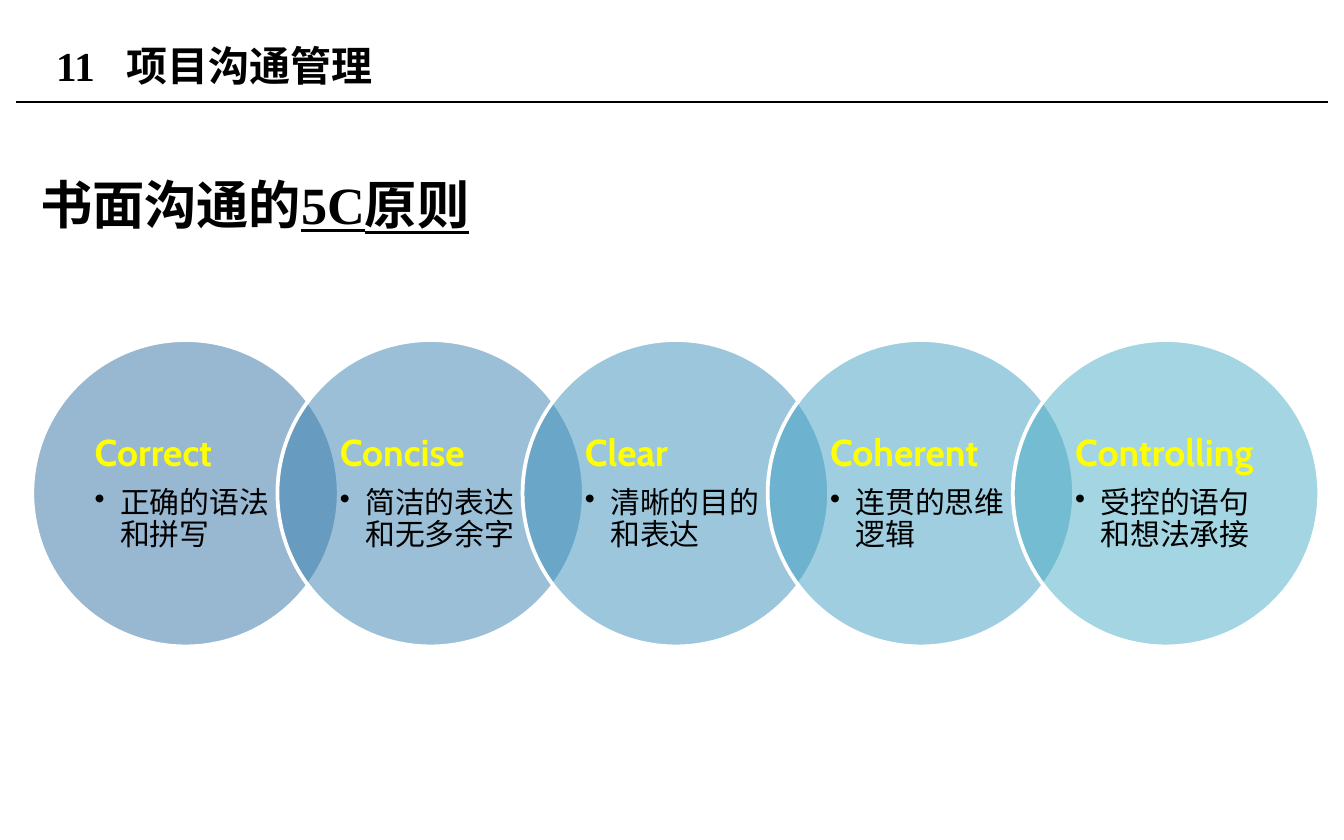
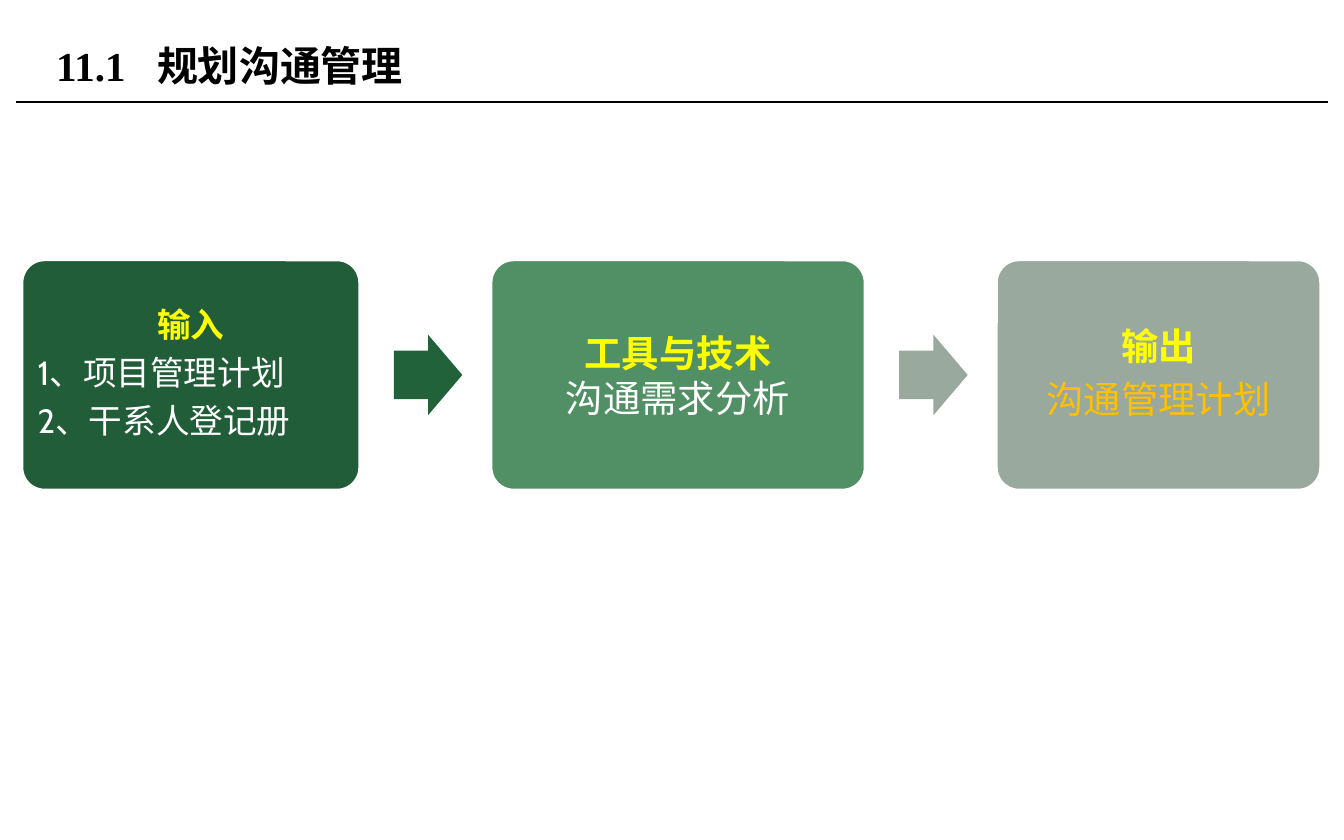
from lxml import etree
from pptx import Presentation, util as u
from pptx.dml.color import RGBColor
from pptx.enum import shapes, text
from pptx.oxml.ns import qn

# Content
CHAPTER = {"number": "11", "name": "项目沟通管理", "tab": 0.52}
SECTION = {"number": "11.1", "name": "规划沟通管理", "tab": 0.75}
HEADING = [("书面沟通的", False), ("5C原则", True)]
PRINCIPLES = [
    ("Correct", "正确的语法和拼写", "3371A4"),
    ("Concise", "简洁的表达和无多余字", "3780AF"),
    ("Clear", "清晰的目的和表达", "3A8FBA"),
    ("Coherent", "连贯的思维逻辑", "409FC3"),
    ("Controlling", "受控的语句和想法承接", "4BACC6"),
]
STAGES = [
    {"title": "输入", "items": ["1、项目管理计划", "2、干系人登记册"], "width": 2.52, "size": 18,
     "fill": "215D38", "ink": "white", "align": "left", "tight": True, "inset": 0.07},
    {"title": "工具与技术", "items": ["沟通需求分析"], "width": 2.79, "size": 20,
     "fill": "519065", "ink": "white", "align": "center", "tight": False, "inset": 0.08},
    {"title": "输出", "items": ["沟通管理计划"], "width": 2.42, "size": 20,
     "fill": "9AA99E", "ink": "gold", "align": "center", "tight": True, "inset": 0.08},
]
ARROW_FILLS = ["22623B", "99A99D"]

# Shared style
COLORS = {"black": "000000", "white": "FFFFFF", "yellow": "FFFF00", "gold": "FFC000"}
SERIF, SANS = "Times New Roman", "Cabin"
WIDTH, HEIGHT = 10, 6.25
ALIGN = {"left": text.PP_ALIGN.LEFT, "center": text.PP_ALIGN.CENTER}

# Circle row: each circle starts 0.8 of a diameter after the last
DIAMETER, CIRCLE_LEFT, CIRCLE_TOP = 2.28, 0.24, 2.53
CIRCLE_STEP = 0.8 * DIAMETER

# Process row: boxes with equal gaps, one arrow in each gap
BOX_LEFT, BOX_TOP, BOX_HEIGHT, BOX_GAP = 0.16, 1.93, 1.72, 0.97
ARROW_OFFSET, ARROW_WIDTH, ARROW_HEIGHT = 0.25, 0.51, 0.6


def rgb(color):
    return RGBColor.from_string(COLORS.get(color, color))


def add_span(para, words, size, font, color, bold=False, underline=False):
    span = para.add_run()
    span.text = words
    span.font.size = u.Pt(size)
    span.font.name = font
    span.font.bold = bold
    span.font.underline = underline
    span.font.color.rgb = rgb(color)


def next_para(frame, align="left", spacing=1.0, after=0):
    first = frame.paragraphs[0]
    para = frame.add_paragraph() if first.runs else first
    para.alignment = ALIGN[align]
    para.line_spacing = spacing
    para.space_after = u.Pt(after)
    return para


def add_text_box(page, left, top, width, height, anchor):
    box = page.shapes.add_textbox(*map(u.Inches, (left, top, width, height)))
    box.text_frame.word_wrap = True
    box.text_frame.vertical_anchor = anchor
    return box.text_frame


def add_filled(page, kind, left, top, width, height, fill, outline=True):
    shape = page.shapes.add_shape(kind, *map(u.Inches, (left, top, width, height)))
    shape.shadow.inherit = False
    shape.fill.solid()
    shape.fill.fore_color.rgb = rgb(fill)
    if outline:
        shape.line.color.rgb = rgb("white")
        shape.line.width = u.Pt(2)
    else:
        shape.line.fill.background()
    return shape


def set_insets(frame, side, end):
    frame.word_wrap = True
    frame.vertical_anchor = text.MSO_ANCHOR.MIDDLE
    frame.margin_left = frame.margin_right = u.Inches(side)
    frame.margin_top = frame.margin_bottom = u.Inches(end)


def set_alpha(shape, percent):
    color = shape.fill._xPr.find(qn("a:solidFill"))[0]
    etree.SubElement(color, qn("a:alpha"), val=str(percent * 1000))


def set_bullet(para, indent):
    para.level = 1
    props = para._p.get_or_add_pPr()
    props.set("marL", str(u.Inches(indent)))
    props.set("indent", str(-u.Inches(indent)))
    etree.SubElement(props, qn("a:buChar"), char="•")


def add_page(deck, title):
    page = deck.slides.add_slide(deck.slide_layouts[6])

    # Rule under the title
    rule = page.shapes.add_connector(shapes.MSO_CONNECTOR.STRAIGHT, u.Inches(0.12),
                                     u.Inches(0.76), u.Inches(WIDTH - 0.12), u.Inches(0.76))
    rule.line.color.rgb = rgb("black")
    rule.line.width = u.Pt(0.75)
    etree.SubElement(rule._element.spPr, qn("a:effectLst"))

    # Number and name, set apart by a tab stop
    para = next_para(add_text_box(page, 0.32, 0.13, 6.38, 0.71, text.MSO_ANCHOR.MIDDLE))
    stops = etree.SubElement(para._p.get_or_add_pPr(), qn("a:tabLst"))
    etree.SubElement(stops, qn("a:tab"), pos=str(u.Inches(title["tab"])), algn="l")
    add_span(para, title["number"] + "\t" + title["name"], 22, SERIF, "black", bold=True)
    return page


def build_principles(deck):
    page = add_page(deck, CHAPTER)
    heading = next_para(add_text_box(page, 0.2, 1, 9.56, 3.9, text.MSO_ANCHOR.TOP), spacing=1.5)
    for words, underline in HEADING:
        add_span(heading, words, 28, SERIF, "black", bold=True, underline=underline)

    # Overlapping circles
    for index, (name, meaning, fill) in enumerate(PRINCIPLES):
        circle = add_filled(page, shapes.MSO_SHAPE.OVAL, CIRCLE_LEFT + index * CIRCLE_STEP,
                            CIRCLE_TOP, DIAMETER, DIAMETER, fill)
        set_alpha(circle, 50)
        frame = circle.text_frame
        set_insets(frame, 0.13, 0.03)
        add_span(next_para(frame, spacing=0.9, after=7), name, 20, SANS, "yellow", bold=True)
        para = next_para(frame, spacing=0.9, after=2.4)
        set_bullet(para, 0.19)
        add_span(para, meaning, 16, SANS, "black")


def build_process(deck):
    page = add_page(deck, SECTION)
    left = BOX_LEFT
    for index, stage in enumerate(STAGES):
        # Stage box
        box = add_filled(page, shapes.MSO_SHAPE.ROUNDED_RECTANGLE, left, BOX_TOP,
                         stage["width"], BOX_HEIGHT, stage["fill"])
        box.adjustments[0] = 0.1
        frame = box.text_frame
        set_insets(frame, stage["inset"], stage["inset"])
        size = stage["size"]
        spacing, after = (0.9, 0.35 * size) if stage["tight"] else (1.0, 0)
        add_span(next_para(frame, "center", spacing, after), stage["title"], size, SANS,
                 "yellow", bold=True)
        for item in stage["items"]:
            add_span(next_para(frame, stage["align"], spacing, after), item, size, SANS,
                     stage["ink"])
        left += stage["width"]

        # Arrow to the next stage
        if index < len(ARROW_FILLS):
            arrow = add_filled(page, shapes.MSO_SHAPE.RIGHT_ARROW, left + ARROW_OFFSET,
                               BOX_TOP + (BOX_HEIGHT - ARROW_HEIGHT) / 2, ARROW_WIDTH,
                               ARROW_HEIGHT, ARROW_FILLS[index], outline=False)
            arrow.adjustments[0] = 0.6
            arrow.adjustments[1] = 0.5
        left += BOX_GAP


def main():
    deck = Presentation()
    deck.slide_width, deck.slide_height = u.Inches(WIDTH), u.Inches(HEIGHT)
    build_principles(deck)
    build_process(deck)
    deck.save("out.pptx")


if __name__ == "__main__":
    main()
